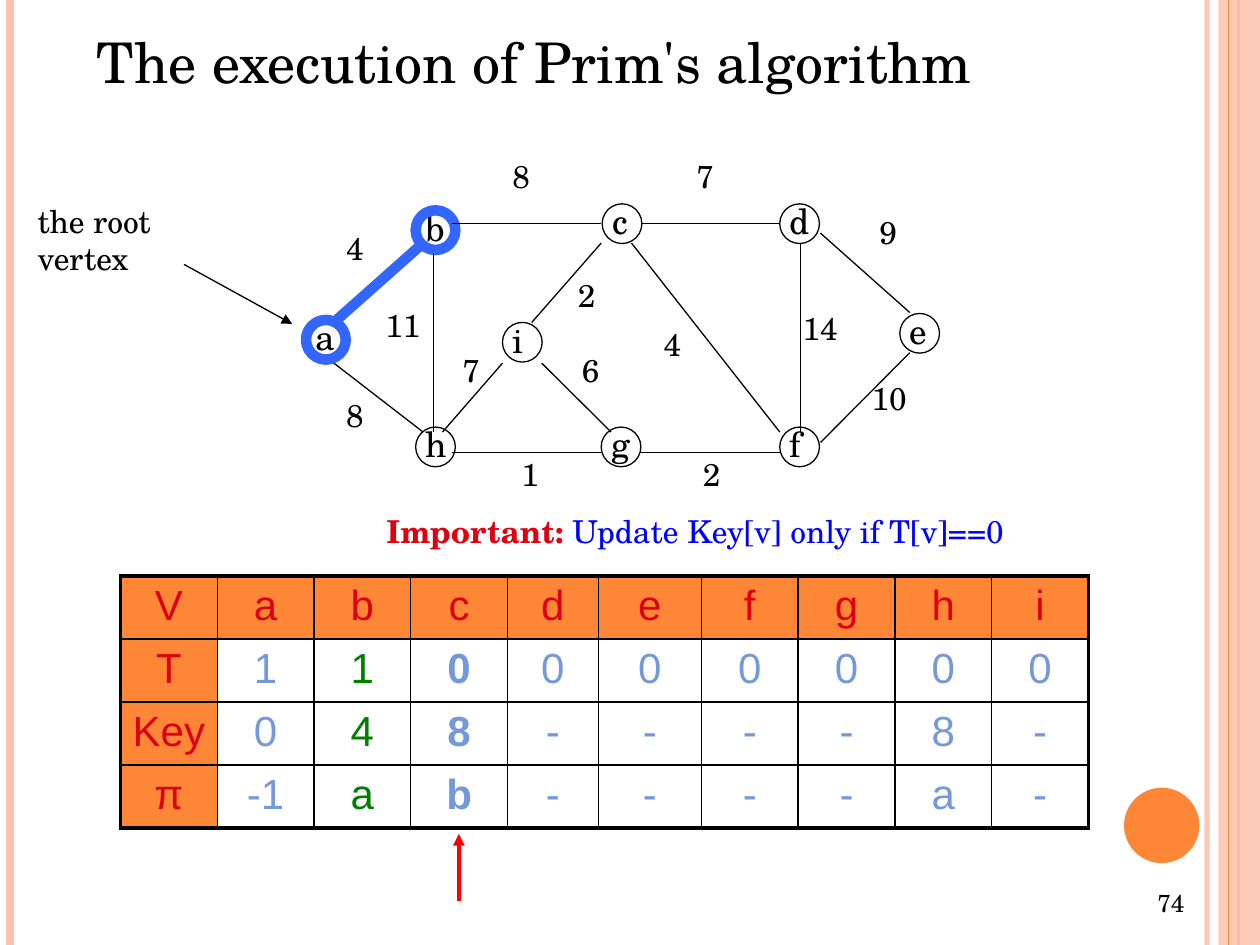
"""Build a slide showing one step of Prim's algorithm on a weighted graph."""
import pptx
import pptx.dml.color
import pptx.enum.shapes
import pptx.enum.text
import pptx.oxml
import pptx.oxml.ns
import pptx.util

Cm = pptx.util.Cm
Pt = pptx.util.Pt
RGBColor = pptx.dml.color.RGBColor
ALIGN = pptx.enum.text.PP_ALIGN
SHAPE = pptx.enum.shapes.MSO_SHAPE
STRAIGHT = pptx.enum.shapes.MSO_CONNECTOR.STRAIGHT

BLACK = RGBColor(0x00, 0x00, 0x00)
ORANGE = RGBColor(0xFE, 0x86, 0x37)
PEACH = RGBColor(0xFE, 0xC3, 0xAE)
CRIMSON = RGBColor(0xDD, 0x01, 0x11)
RED = RGBColor(0xFF, 0x00, 0x00)
BLUE = RGBColor(0x00, 0x00, 0xFF)
TREE_BLUE = RGBColor(0x33, 0x66, 0xFF)
PALE_BLUE = RGBColor(0x75, 0x98, 0xD9)
GREEN = RGBColor(0x00, 0x80, 0x00)

SERIF = "TeX Gyre Schola"
SANS = "Arial"
WIDTH, HEIGHT = 25.4, 19.05
DIAMETER = 0.8

VERTICES = {
    "a": (6.17, 6.45), "b": (8.38, 4.24), "h": (8.38, 8.61),
    "c": (12.14, 4.11), "d": (15.72, 4.11), "e": (18.14, 6.32),
    "f": (15.72, 8.61), "g": (12.12, 8.61), "i": (10.13, 6.5),
}
LETTER_WIDTHS = {"c": 0.86, "f": 0.71, "i": 0.81}
TREE_VERTICES = "ab"
TREE_EDGE = (6.73, 6.5, 8.53, 4.9)
EDGES = [
    (6.73, 7.32, 8.53, 8.71), (8.74, 5.11, 8.74, 8.71),
    (9.12, 4.5, 12.12, 4.5), (9.12, 9.12, 12.12, 9.12),
    (12.93, 9.12, 15.72, 9.12), (12.73, 4.9, 15.72, 8.71),
    (12.93, 4.5, 15.72, 4.5), (16.13, 4.9, 16.13, 8.71),
    (16.54, 4.7, 18.34, 6.3), (16.54, 8.92, 18.34, 7.11),
    (10.92, 7.32, 12.32, 8.71), (8.92, 8.71, 10.13, 7.32),
    (10.72, 6.5, 12.12, 4.9),
]
WEIGHTS = [
    ("4", 6.73, 4.5), ("8", 10.08, 3.05), ("7", 13.79, 3.05),
    ("9", 17.48, 4.17), ("10", 17.32, 7.52), ("14", 15.93, 6.1),
    ("4", 13.13, 6.43), ("2", 11.4, 5.44), ("2", 13.92, 9.04),
    ("6", 11.48, 6.96), ("1", 10.26, 9.04), ("7", 9.07, 6.96),
    ("11", 7.52, 6.05), ("8", 6.73, 7.85),
]
ROWS = [
    ["V", "a", "b", "c", "d", "e", "f", "g", "h", "i"],
    ["T", "1", "1", "0", "0", "0", "0", "0", "0", "0"],
    ["Key", "0", "4", "8", "-", "-", "-", "-", "8", "-"],
    ["π", "-1", "a", "b", "-", "-", "-", "-", "a", "-"],
]
COLUMN_WIDTHS = [1.95] * 4 + [1.83, 2.08] + [1.95] * 4
ROW_HEIGHT = 1.27
CELL_MARGIN = 0.1
ADDED_COLUMN, CURRENT_COLUMN = 2, 3


def apply_format(target, values):
    """Set each named attribute on the target."""
    for name, value in values.items():
        setattr(target, name, value)


def write_span(para, text, size, color, bold=False, face=SERIF):
    """Append one formatted span to a paragraph."""
    span = para.add_run()
    span.text = text
    apply_format(span.font, {"name": face, "size": Pt(size), "bold": bold})
    span.font.color.rgb = color


def add_text(page, place, spans, align=ALIGN.LEFT, wrap=True):
    """Add a text box holding one paragraph of spans."""
    box = page.shapes.add_textbox(*map(Cm, place))
    box.text_frame.word_wrap = wrap
    para = box.text_frame.paragraphs[0]
    para.alignment = align
    for span in spans:
        write_span(para, *span)


def set_opacity(fill, percent):
    """Make a solid fill partly transparent."""
    color = fill._xPr.find(".//" + pptx.oxml.ns.qn("a:srgbClr"))
    alpha = color.makeelement(pptx.oxml.ns.qn("a:alpha"), {"val": str(percent * 1000)})
    color.append(alpha)


def add_line(page, ends, color=BLACK, weight=0.75, arrow=False, opacity=100):
    """Add a straight line, with an arrowhead at its end if asked."""
    line = page.shapes.add_connector(STRAIGHT, *map(Cm, ends))
    line.line.width = Pt(weight)
    line.line.color.rgb = color
    if opacity < 100:
        set_opacity(line.line.fill, opacity)
    properties = line._element.spPr
    if arrow:
        head = properties.makeelement(pptx.oxml.ns.qn("a:tailEnd"), {"type": "triangle"})
        line.line._get_or_add_ln().append(head)
    properties.append(properties.makeelement(pptx.oxml.ns.qn("a:effectLst"), {}))


def add_solid(page, kind, place, color):
    """Add a filled shape without an outline."""
    shape = page.shapes.add_shape(kind, *map(Cm, place))
    shape.shadow.inherit = False
    shape.fill.solid()
    shape.fill.fore_color.rgb = color
    shape.line.fill.background()
    return shape


def add_decoration(page):
    """Add the side stripes and the round accent."""
    add_line(page, (24.33, 0, 24.33, HEIGHT), PEACH, 3, opacity=93)
    add_line(page, (0.2, 0, 0.2, HEIGHT), PEACH, 4.5)
    add_line(page, (24.97, 0, 24.97, HEIGHT), ORANGE, 1.5)
    band = add_solid(page, SHAPE.RECTANGLE, (24.56, 0, 0.84, HEIGHT), PEACH)
    set_opacity(band.fill, 87)
    add_line(page, (24.77, 0, 24.77, HEIGHT), ORANGE)
    add_solid(page, SHAPE.OVAL, (22.66, 15.88, 1.52, 1.52), ORANGE)


def add_title(page, text):
    """Place and format the title placeholder."""
    title = page.shapes.title
    place = {"left": 1.7, "top": 0.43, "width": 21.79, "height": 1.6}
    apply_format(title, {name: Cm(value) for name, value in place.items()})
    apply_format(title.text_frame, {
        "word_wrap": True,
        "auto_size": pptx.enum.text.MSO_AUTO_SIZE.NONE,
        "vertical_anchor": pptx.enum.text.MSO_ANCHOR.TOP,
    })
    para = title.text_frame.paragraphs[0]
    para.alignment = ALIGN.LEFT
    write_span(para, text, 32, BLACK)


def add_vertex(page, letter, left, top):
    """Add a vertex letter inside its circle."""
    place = (left - 0.05, top - 0.21, LETTER_WIDTHS.get(letter, 0.91), 1.09)
    add_text(page, place, [(letter, 20, BLACK)], wrap=False)
    circle = page.shapes.add_shape(SHAPE.OVAL, *map(Cm, (left, top, DIAMETER, DIAMETER)))
    circle.shadow.inherit = False
    circle.fill.background()
    in_tree = letter in TREE_VERTICES
    circle.line.color.rgb = TREE_BLUE if in_tree else BLACK
    circle.line.width = Pt(6 if in_tree else 0.75)


def add_graph(page):
    """Add the vertices, edges and edge weights."""
    for letter, (left, top) in VERTICES.items():
        add_vertex(page, letter, left, top)
    add_line(page, TREE_EDGE, TREE_BLUE, 6)
    for ends in EDGES:
        add_line(page, ends)
    for weight, left, top in WEIGHTS:
        width = 0.86 if len(weight) == 1 else 1.22
        add_text(page, (left, top, width, 1.02), [(weight, 18, BLACK)], wrap=False)


def set_borders(cell, weights):
    """Draw the left, right, top and bottom borders of a cell in black."""
    properties = cell._tc.get_or_add_tcPr()
    for side, weight in zip("LRTB", weights):
        properties.append(pptx.oxml.parse_xml(
            f'<a:ln{side} {pptx.oxml.ns.nsdecls("a")} w="{Pt(weight)}">'
            f'<a:solidFill><a:srgbClr val="{BLACK}"/></a:solidFill></a:ln{side}>'))


def add_state_table(page):
    """Add the table of T, Key and parent values."""
    last_row, last_column = len(ROWS) - 1, len(COLUMN_WIDTHS) - 1
    place = (2.43, 11.61, sum(COLUMN_WIDTHS), ROW_HEIGHT * len(ROWS))
    table = page.shapes.add_table(len(ROWS), len(COLUMN_WIDTHS), *map(Cm, place)).table
    apply_format(table, {"first_row": False, "horz_banding": False})
    for column, width in zip(table.columns, COLUMN_WIDTHS):
        column.width = Cm(width)
    for r, values in enumerate(ROWS):
        table.rows[r].height = Cm(ROW_HEIGHT)
        for c, text in enumerate(values):
            cell = table.cell(r, c)
            apply_format(cell, dict.fromkeys(("margin_left", "margin_right"), Cm(CELL_MARGIN)))
            outer = (c == 0, c == last_column, r == 0, r == last_row)
            set_borders(cell, [2.25 if edge else 1 for edge in outer])
            header = r == 0 or c == 0
            if header:
                cell.fill.solid()
                cell.fill.fore_color.rgb = ORANGE
            else:
                cell.fill.background()
            color = CRIMSON if header else GREEN if c == ADDED_COLUMN else PALE_BLUE
            para = cell.text_frame.paragraphs[0]
            para.alignment = ALIGN.CENTER
            write_span(para, text, 24, color, not header and c == CURRENT_COLUMN, SANS)


def main():
    """Build the deck and save it."""
    deck = pptx.Presentation()
    apply_format(deck, {"slide_width": Cm(WIDTH), "slide_height": Cm(HEIGHT)})
    page = deck.slides.add_slide(deck.slide_layouts[5])
    add_decoration(page)
    add_text(page, (18.21, 17.78, 5.92, 0.89), [("74", 14, BLACK)], ALIGN.RIGHT)
    add_title(page, "The execution of Prim's algorithm")
    add_text(page, (0.51, 3.94, 3.4, 2.29), [("the root vertex", 18, BLACK)])
    add_line(page, (3.71, 5.33, 5.89, 6.53), arrow=True)
    add_state_table(page)
    add_graph(page)
    add_line(page, (9.25, 18.16, 9.25, 16.81), RED, 2.25, arrow=True)
    add_text(page, (7.54, 10.19, 17.86, 1.04), [
        ("Important: ", 18, CRIMSON, True),
        ("Update Key[v] only if T[v]==0", 18, BLUE),
    ])
    deck.save("out.pptx")


if __name__ == "__main__":
    main()
